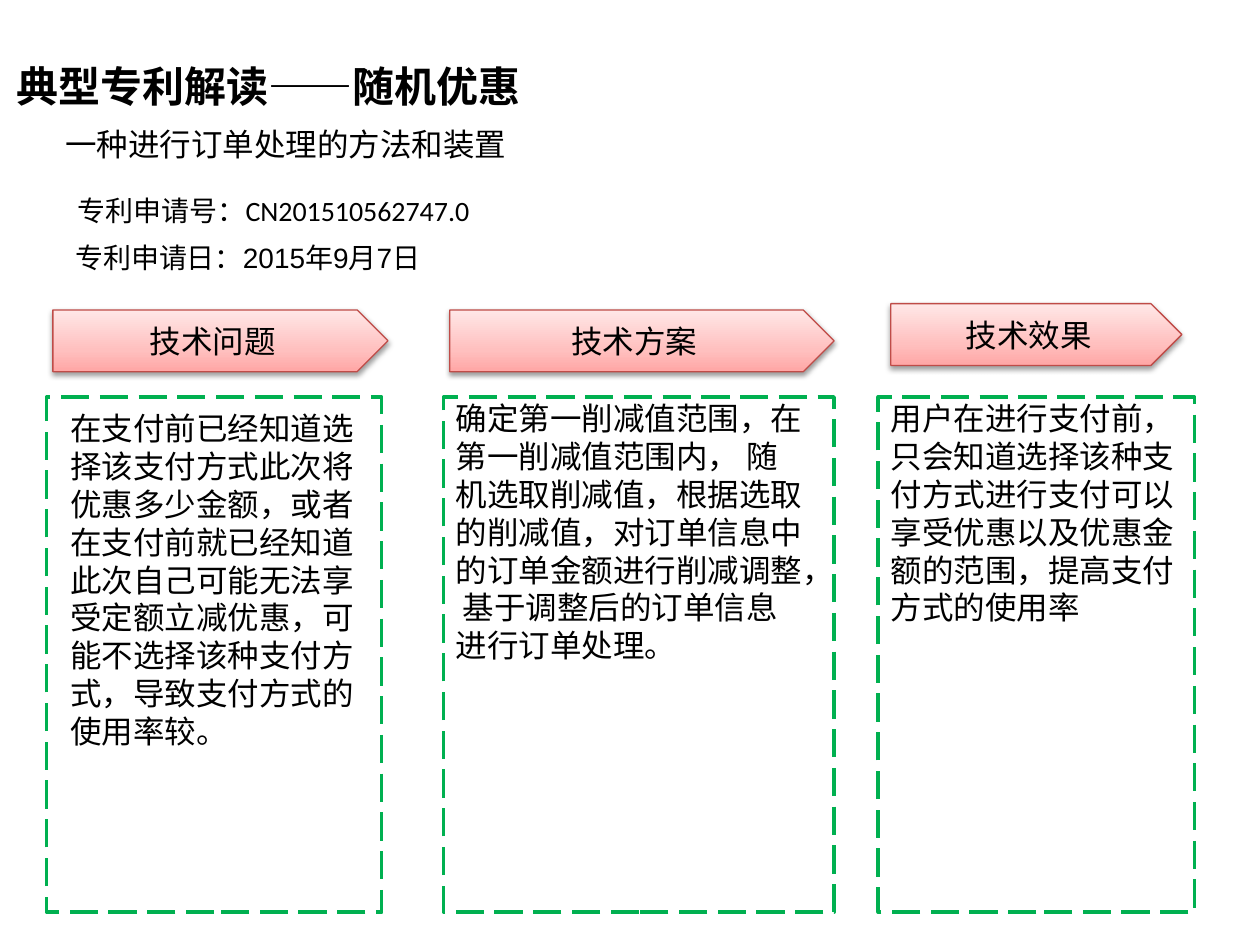
from dataclasses import dataclass

from pptx import Presentation
from pptx import util as u
from pptx.dml.color import RGBColor
from pptx.enum import dml, shapes, text
from pptx.oxml import parse_xml
from pptx.oxml.ns import nsdecls, qn

PX = 9144  # 100 px to the inch


@dataclass(frozen=True)
class Theme:
    ink: str = "000000"
    green: str = "00B050"
    red: str = "BF4C48"
    pinks: tuple = ((0, "FFA6A5"), (35, "FFC0BF"), (100, "FFE7E7"))
    head: int = 24
    main: int = 18
    note: int = 16
    font: str = "Calibri"
    alt: str = "Arial"


T = Theme()

# arrow box, frame box, text box, heading, body
COLS = [
    ((42, 246, 266, 49), (37, 315, 266, 409), (46, 320, 250, 283), "技术问题",
     "在支付前已经知道选择该支付方式此次将优惠多少金额，或者在支付前就已经知道"
     "此次自己可能无法享受定额立减优惠，可能不选择该种支付方式，导致支付方式的使用率较。"),
    ((357, 246, 305, 49), (352, 315, 310, 409), (352, 312, 300, 222), "技术方案",
     "确定第一削减值范围，在第一削减值范围内， 随机选取削减值，根据选取的削减值，"
     "对订单信息中的订单金额进行削减调整， 基于调整后的订单信息进行订单处理。"),
    ((707, 241, 231, 49), (697, 315, 251, 409), (697, 312, 251, 192), "技术效果",
     "用户在进行支付前，只会知道选择该种支付方式进行支付可以享受优惠以及优惠金额的范围，"
     "提高支付方式的使用率"),
]


def put(obj, **vals):
    for key, val in vals.items():
        setattr(obj, key, val)


def scale(box):
    return [n * PX for n in box]


def write(shape, runs, size, bold=False, align=text.PP_ALIGN.LEFT,
          anchor=text.MSO_ANCHOR.TOP):
    """Fill the shape with one paragraph of (words, font) runs."""
    frame = shape.text_frame
    put(frame, word_wrap=True, vertical_anchor=anchor,
        auto_size=text.MSO_AUTO_SIZE.NONE)
    para = frame.paragraphs[0]
    para.alignment = align
    for words, font in runs:
        run = para.add_run()
        run.text = words
        put(run.font, name=font, size=u.Pt(size), bold=bold)
        run.font.color.rgb = RGBColor.from_string(T.ink)


def label(slide, box, runs, size):
    write(slide.shapes.add_textbox(*scale(box)), runs, size)


def title(slide, box, words):
    shape = slide.shapes.title
    put(shape, **dict(zip(("left", "top", "width", "height"), scale(box))))
    write(shape, [(words, T.font)], T.head, bold=True)


def edge(shape, color, width):
    shape.line.color.rgb = RGBColor.from_string(color)
    shape.line.width = u.Pt(width)


def frame(slide, box):
    shape = slide.shapes.add_shape(shapes.MSO_SHAPE.RECTANGLE, *scale(box))
    shape.shadow.inherit = False
    shape.fill.background()
    edge(shape, T.green, 2)
    shape.line.dash_style = dml.MSO_LINE.LONG_DASH


def arrow(slide, box, words):
    """Add a pentagon arrow with a three-stop gradient and a soft shadow."""
    shape = slide.shapes.add_shape(shapes.MSO_SHAPE.PENTAGON, *scale(box))
    edge(shape, T.red, 0.75)
    stops = "".join(f'<a:gs pos="{pos * 1000}"><a:srgbClr val="{color}"/></a:gs>'
                    for pos, color in T.pinks)
    props = shape.element.spPr
    props.find(qn("a:prstGeom")).addnext(parse_xml(
        f'<a:gradFill {nsdecls("a")} rotWithShape="1"><a:gsLst>{stops}</a:gsLst>'
        '<a:lin ang="16200000" scaled="1"/></a:gradFill>'))
    props.append(parse_xml(
        f'<a:effectLst {nsdecls("a")}><a:outerShdw blurRad="{u.Pt(3.1)}" '
        f'dist="{u.Pt(1.6)}" dir="5400000" rotWithShape="0">'
        f'<a:srgbClr val="{T.ink}"><a:alpha val="38000"/></a:srgbClr>'
        '</a:outerShdw></a:effectLst>'))
    write(shape, [(words, T.font)], T.main, align=text.PP_ALIGN.CENTER,
          anchor=text.MSO_ANCHOR.MIDDLE)


def main():
    deck = Presentation()
    put(deck, slide_width=1000 * PX, slide_height=750 * PX)
    slide = deck.slides.add_slide(deck.slide_layouts.get_by_name("Title Only"))

    title(slide, (3, 43, 650, 50), "典型专利解读——随机优惠")
    label(slide, (42, 94, 640, 40), [("一种进行订单处理的方法和装置", T.font)], T.main)
    label(slide, (52, 149, 512, 37),
          [("专利申请号：", T.alt), ("CN201510562747.0", T.font)], T.note)
    label(slide, (50, 186, 512, 37), [("专利申请日：2015年9月7日", T.alt)], T.note)

    for tip, rim, area, name, body in COLS:
        arrow(slide, tip, name)
        frame(slide, rim)
        label(slide, area, [(body, T.font)], T.main)

    deck.save("out.pptx")


if __name__ == "__main__":
    main()
